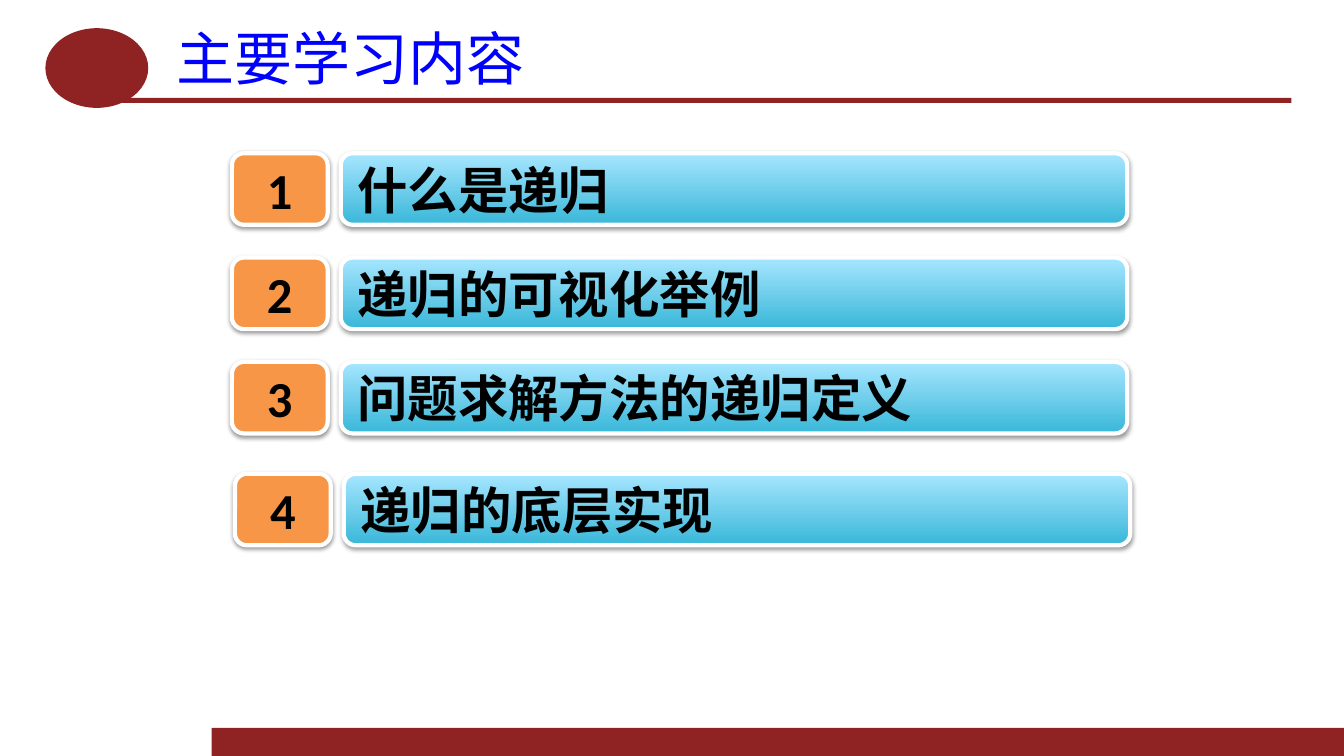
import pptx
import pptx.util
import pptx.dml.color
import pptx.enum.shapes
import pptx.enum.text
import pptx.oxml
import pptx.oxml.ns

Inches, Pt = pptx.util.Inches, pptx.util.Pt
SHAPE = pptx.enum.shapes.MSO_SHAPE
ALIGN = pptx.enum.text.PP_ALIGN
WIDTH, HEIGHT = 13.33, 7.5
MAROON = "8F2222"
CJK_FONT = "Noto Sans CJK SC"
TOPICS = ["什么是递归", "递归的可视化举例", "问题求解方法的递归定义", "递归的底层实现"]
SHADOW = (
    f'<a:outerShdw {pptx.oxml.ns.nsdecls("a")} blurRad="39370" dist="20320" '
    'dir="5400000" rotWithShape="0"><a:srgbClr val="000000">'
    '<a:alpha val="38000"/></a:srgbClr></a:outerShdw>'
)


def color(hex_code):
    return pptx.dml.color.RGBColor.from_string(hex_code)


def add_shape(slide, kind, box, fill=None):
    sp = slide.shapes.add_shape(kind, *map(Inches, box))
    sp.shadow.inherit = False
    sp.line.fill.background()
    if fill:
        sp.fill.solid()
        sp.fill.fore_color.rgb = color(fill)
    return sp


def set_text(sp, text, size, font, hex_code, align, bold=False):
    tf = sp.text_frame
    tf.word_wrap = True
    tf.vertical_anchor = pptx.enum.text.MSO_ANCHOR.MIDDLE
    tf.margin_left = tf.margin_right = Inches(0.13)
    tf.margin_top = tf.margin_bottom = Inches(0.06)
    tf.text = text
    p = tf.paragraphs[0]
    p.alignment = align
    r = p.runs[0]
    r.font.size = Pt(size)
    r.font.name = font
    r.font.bold = bold
    r.font.color.rgb = color(hex_code)
    ea = pptx.oxml.parse_xml(
        f'<a:ea {pptx.oxml.ns.nsdecls("a")} typeface="{CJK_FONT}"/>')
    r.font._element.find(pptx.oxml.ns.qn("a:latin")).addnext(ea)


def add_header(slide, box):
    left, top, width, height = box
    right = left + width
    add_shape(slide, SHAPE.RECTANGLE,
              (left + 0.73, top + 0.69, width - 0.73, 0.05), MAROON)
    add_shape(slide, SHAPE.OVAL, (left, top, 1.02, height), MAROON)
    title_left = left + 1.17
    title = slide.shapes.add_textbox(
        *map(Inches, (title_left, top - 0.07, right - title_left, 0.71)))
    set_text(title, "主要学习内容", 41.4, CJK_FONT, "0000FF", ALIGN.JUSTIFY)


def add_footer(slide, box):
    add_shape(slide, SHAPE.RECTANGLE, box, MAROON)


def add_card(slide, box, text, align, fill=None):
    sp = add_shape(slide, SHAPE.ROUNDED_RECTANGLE, box, fill)
    sp.line.color.rgb = color("FFFFFF")
    sp.line.width = Pt(3)
    effects = sp._element.spPr.find(pptx.oxml.ns.qn("a:effectLst"))
    effects.append(pptx.oxml.parse_xml(SHADOW))
    set_text(sp, text, 36, "Calibri", "000000", align, bold=True)
    return sp


def add_topic(slide, box, number, topic):
    left, top, width, height = box
    badge_width, gap = 0.95, 0.13
    add_card(slide, (left, top, badge_width, height), str(number),
             ALIGN.CENTER, "F79646")
    offset = badge_width + gap
    bar = add_card(slide, (left + offset, top, width - offset, height),
                   topic, ALIGN.JUSTIFY)
    bar.fill.gradient()
    bar.fill.gradient_angle = 90
    for stop, hex_code in zip(bar.fill.gradient_stops, ("39B7D8", "A7E6FF")):
        stop.color.rgb = color(hex_code)


def add_topics(slide, box):
    left, top, width, height = box
    pitch, row_height = 1.035, 0.71
    for i, topic in enumerate(TOPICS):
        row = (left, top + i * pitch, width, row_height)
        if i == len(TOPICS) - 1:
            row = (left + 0.03, top + height - row_height, width, row_height)
        add_topic(slide, row, i + 1, topic)


def main():
    prs = pptx.Presentation()
    prs.slide_width, prs.slide_height = Inches(WIDTH), Inches(HEIGHT)
    slide = prs.slides.add_slide(prs.slide_layouts[6])
    add_footer(slide, (2.1, HEIGHT - 0.28, WIDTH - 2.1, 0.28))
    add_header(slide, (0.45, 0.28, 12.36, 0.79))
    add_topics(slide, (2.3, 1.52, 8.88, 3.89))
    prs.save("out.pptx")


if __name__ == "__main__":
    main()
